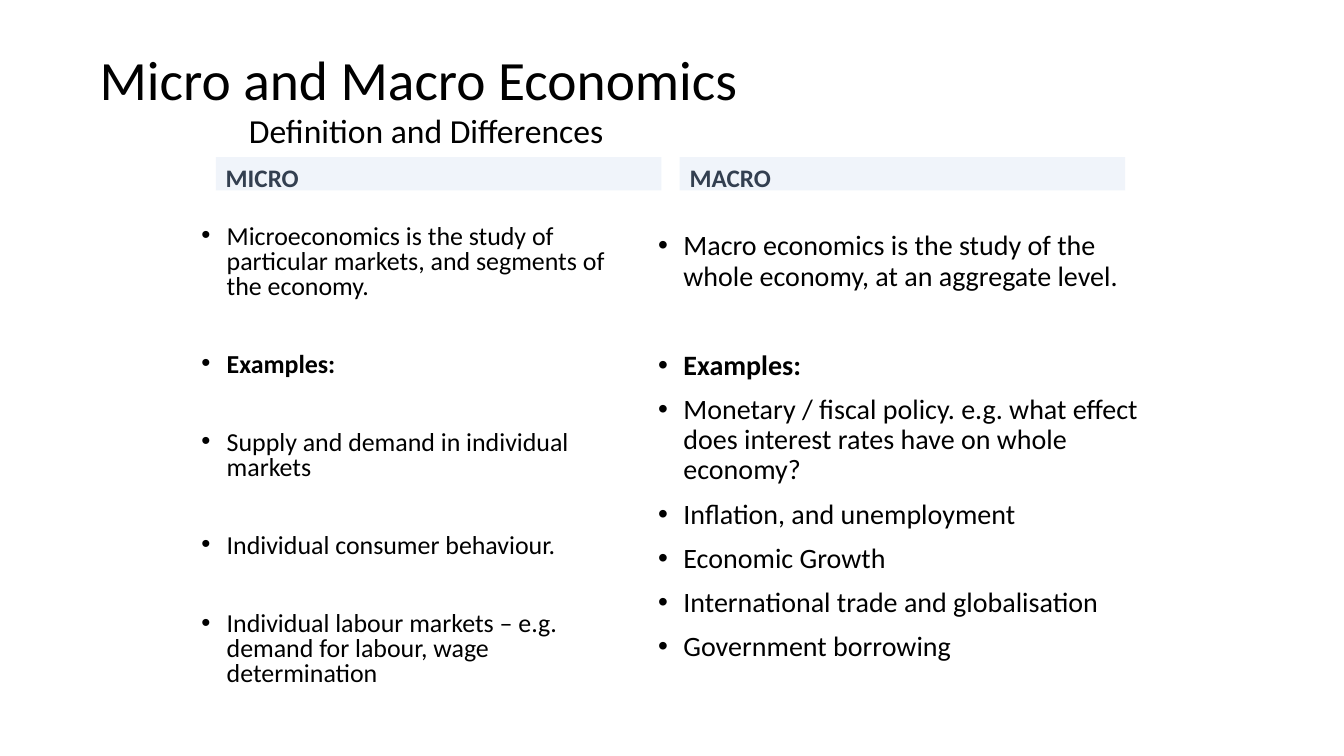
from dataclasses import dataclass

from lxml.etree import SubElement
from pptx import Presentation
from pptx.dml.color import RGBColor
from pptx.enum.shapes import MSO_SHAPE as Preset
from pptx.enum.text import MSO_ANCHOR as Anchor, PP_ALIGN as Align
from pptx.oxml.ns import qn
from pptx.util import Pt

PX = 9144


@dataclass(frozen=True)
class Theme:
    font: str = "Calibri"
    ink: str = "000000"
    heading_ink: str = "333F50"
    band: str = "DAE3F3"
    band_opacity: int = 39
    title_size: float = 39.6
    subtitle_size: float = 24
    heading_size: float = 18
    micro_size: float = 18.5
    macro_size: float = 20
    line_spacing: float = 0.9
    tight_spacing: float = 0.8
    paragraph_gap: int = 10


THEME = Theme()

MICRO_POINTS = [
    ("Microeconomics is the study of particular markets, and segments of the economy.", 10),
    ("Examples:", 38),
    ("Supply and demand in individual markets", 38),
    ("Individual consumer behaviour.", 38),
    ("Individual labour markets – e.g. demand for labour, wage determination", 38),
]
MACRO_POINTS = [
    ("Macro economics is the study of the whole economy, at an aggregate level.", 10),
    ("Examples:", 42),
    ("Monetary / fiscal policy. e.g. what effect does interest rates have on whole economy?", 10),
    ("Inflation, and unemployment", 10),
    ("Economic Growth", 10),
    ("International trade and globalisation", 10),
    ("Government borrowing", 10),
]


def to_emu(box):
    return [length * PX for length in box]


def write(paragraph, text, size, color=THEME.ink, bold=False,
          spacing=THEME.line_spacing, gap=THEME.paragraph_gap):
    paragraph.text = text
    paragraph.alignment = Align.LEFT
    paragraph.line_spacing = spacing
    paragraph.space_before = Pt(gap)
    font = paragraph.runs[0].font
    font.name = THEME.font
    font.size = Pt(size)
    font.bold = bold
    font.color.rgb = RGBColor.from_string(color)


def add_bullet(paragraph, indent=25):
    properties = paragraph._p.get_or_add_pPr()
    properties.set("marL", str(indent * PX))
    properties.set("indent", str(-indent * PX))
    SubElement(properties, qn("a:buFont"), typeface="Arial")
    SubElement(properties, qn("a:buChar"), char="•")


def add_text_box(slide, box, anchor=Anchor.TOP):
    frame = slide.shapes.add_textbox(*to_emu(box)).text_frame
    frame.word_wrap = True
    frame.vertical_anchor = anchor
    return frame


def add_line(slide, box, text, size, anchor=Anchor.TOP):
    frame = add_text_box(slide, box, anchor)
    write(frame.paragraphs[0], text, size)


def add_heading(slide, box, text):
    band = slide.shapes.add_shape(Preset.RECTANGLE, *to_emu(box))
    band.shadow.inherit = False
    band.line.fill.background()
    band.fill.solid()
    band.fill.fore_color.rgb = RGBColor.from_string(THEME.band)
    color = band._element.spPr.find(qn("a:solidFill"))[0]
    SubElement(color, qn("a:alpha"), val=str(THEME.band_opacity * 1000))
    frame = band.text_frame
    frame.word_wrap = True
    frame.vertical_anchor = Anchor.BOTTOM
    frame.margin_top = 35 * PX
    frame.margin_bottom = 5 * PX
    write(frame.paragraphs[0], text, THEME.heading_size, THEME.heading_ink, bold=True)


def add_points(slide, box, points, size, spacing):
    frame = add_text_box(slide, box)
    for index, (text, gap) in enumerate(points):
        paragraph = frame.add_paragraph() if index else frame.paragraphs[0]
        write(paragraph, text, size, bold=text == "Examples:", spacing=spacing, gap=gap)
        add_bullet(paragraph)


def add_comparison(slide, box):
    left, top, width, height = box
    heading_width, heading_height, gutter = 442, 33, 18
    for column, heading in enumerate(("MICRO", "MACRO")):
        heading_left = left + 24 + column * (heading_width + gutter)
        add_heading(slide, (heading_left, top, heading_width, heading_height), heading)
    add_points(slide, (left, top + 63, 445, height - 63), MICRO_POINTS,
               THEME.micro_size, THEME.tight_spacing)
    add_points(slide, (left + width - 500, top + 69, 500, height - 69), MACRO_POINTS,
               THEME.macro_size, THEME.line_spacing)


def build_comparison_slide(presentation):
    slide = presentation.slides.add_slide(presentation.slide_layouts[6])
    add_comparison(slide, (190, 156, 953, 555))
    add_line(slide, (89, 47, 1200, 70), "Micro and Macro Economics",
             THEME.title_size, Anchor.MIDDLE)
    add_line(slide, (237, 109, 892, 50), "Definition and Differences", THEME.subtitle_size)


def main():
    presentation = Presentation()
    presentation.slide_width, presentation.slide_height = to_emu((1333, 750))
    build_comparison_slide(presentation)
    presentation.save("out.pptx")


if __name__ == "__main__":
    main()
